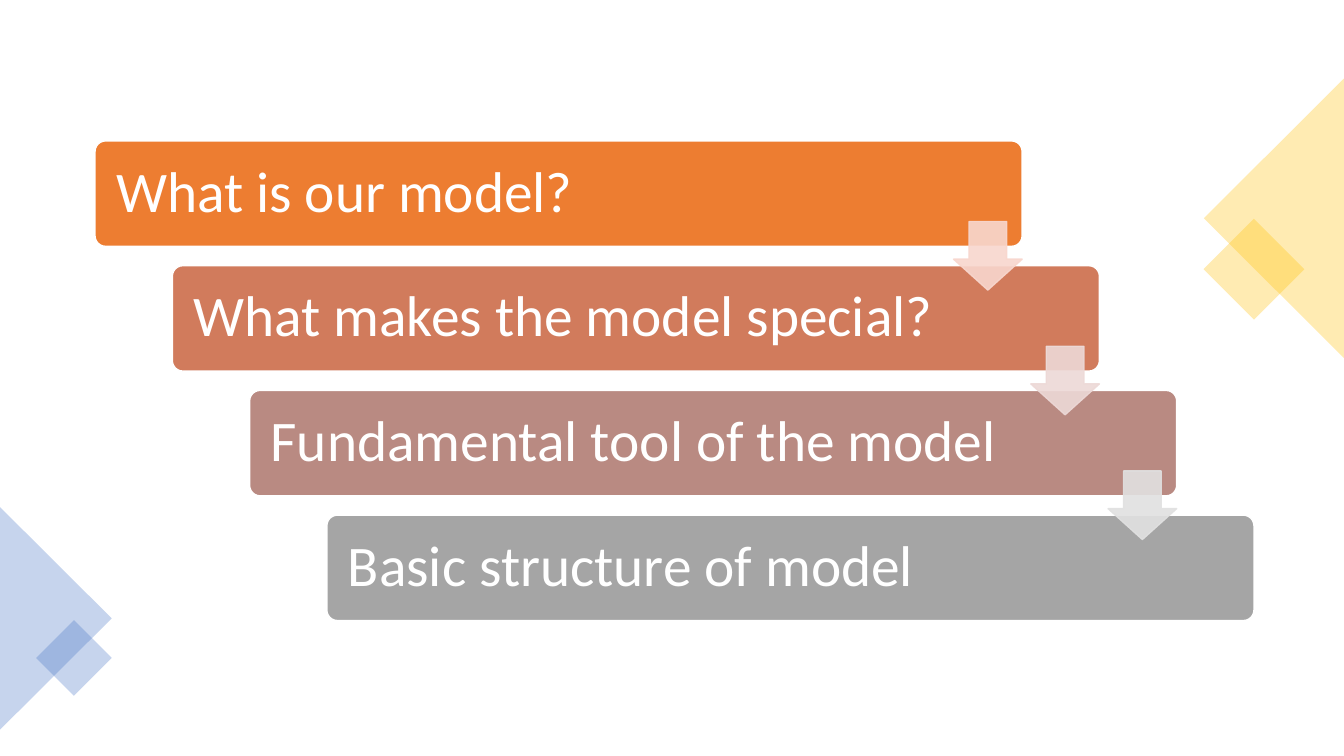
from lxml import etree
from pptx import Presentation
from pptx.dml.color import RGBColor
from pptx.enum import shapes, text
from pptx.oxml.ns import qn
from pptx.util import Pt

SHAPE = shapes.MSO_SHAPE


def paint(fill, color, opacity=100):
    fill.solid()
    fill.fore_color.rgb = RGBColor.from_string(color)
    if opacity < 100:
        value = fill._xPr.find(".//" + qn("a:srgbClr"))
        etree.SubElement(value, qn("a:alpha")).set("val", str(opacity * 1000))


def add_figure(kind, left, top, width, height, color, opacity=100, outlined=True):
    figure = page.shapes.add_shape(kind, Pt(left), Pt(top), Pt(width), Pt(height))
    figure.shadow.inherit = False
    paint(figure.fill, color, opacity)
    if outlined:
        figure.line.width = Pt(1)
    else:
        figure.line.fill.background()
    return figure


deck = Presentation()
deck.slide_width, deck.slide_height = Pt(960), Pt(540)
page = deck.slides.add_slide(deck.slide_layouts[6])

# Translucent corner decorations
decorations = [
    (SHAPE.RECTANGLE, 870.2, 166.8, 51, 51, 45, "FFC000"),
    (SHAPE.ISOSCELES_TRIANGLE, 810.2, 105.9, 199.4, 100, 270, "FFC000"),
    (SHAPE.ISOSCELES_TRIANGLE, -39.6, 401.8, 159, 79.8, 90, "4472C4"),
    (SHAPE.RECTANGLE, 33.7, 450.9, 38.2, 38.2, 45, "4472C4"),
]
for kind, left, top, width, height, angle, color in decorations:
    figure = add_figure(kind, left, top, width, height, color, 30, outlined=False)
    figure.rotation = angle

# Staircase of question bars
STEP_X, STEP_Y = 55.2, 89.1
bars = [
    ("What is our model?", "ED7D31"),
    ("What makes the model special?", "D17B5C"),
    ("Fundamental tool of the model", "B98A82"),
    ("Basic structure of model", "A5A5A5"),
]
for index, (wording, color) in enumerate(bars):
    bar = add_figure(SHAPE.ROUNDED_RECTANGLE, 67.9 + index * STEP_X,
                     100.7 + index * STEP_Y, 662.2, 75.3, color)
    bar.adjustments[0] = 0.1
    paint(bar.line.fill, "FFFFFF")
    frame = bar.text_frame
    frame.word_wrap = True
    frame.vertical_anchor = text.MSO_ANCHOR.MIDDLE
    frame.margin_left = frame.margin_right = Pt(12.8)
    frame.margin_top = frame.margin_bottom = Pt(12)
    para = frame.paragraphs[0]
    para.alignment = text.PP_ALIGN.LEFT
    para.line_spacing = 0.9
    span = para.add_run()
    span.text = wording
    span.font.name = "Calibri"
    span.font.size = Pt(41)
    span.font.color.rgb = RGBColor.from_string("FFFFFF")

# Arrows from each bar to the next
for index, color in enumerate(["F8D7CE", "EDD9D7", "E1E1E1"]):
    arrow = add_figure(SHAPE.DOWN_ARROW, 681.1 + index * STEP_X,
                       158.2 + index * STEP_Y, 49, 49, color, 90)
    arrow.adjustments[0] = 0.55
    arrow.adjustments[1] = 0.45
    paint(arrow.line.fill, color, 90)

deck.save("out.pptx")
